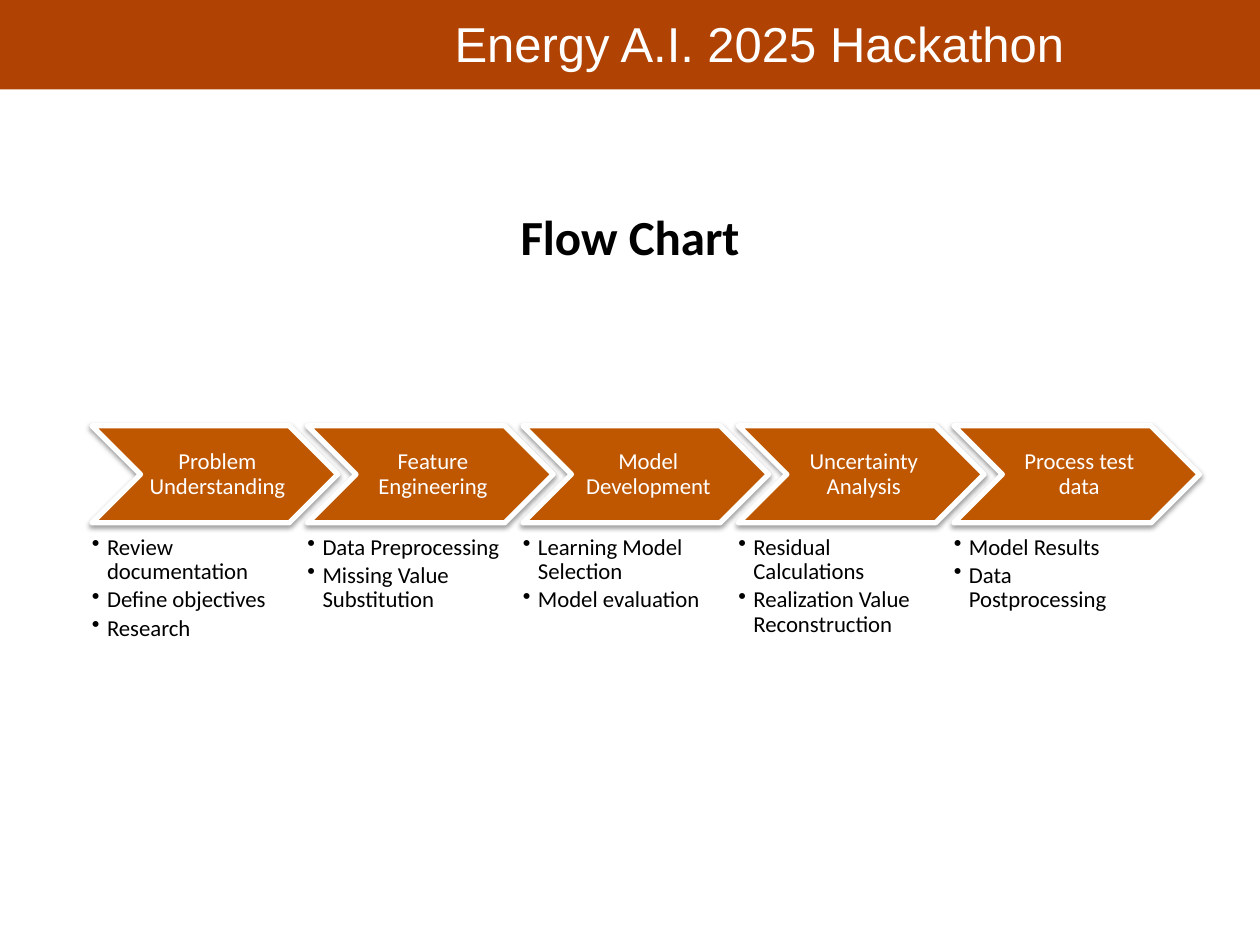
from lxml import etree
from pptx import Presentation
from pptx.dml.color import RGBColor
from pptx.enum.shapes import MSO_SHAPE
from pptx.enum.text import MSO_ANCHOR, PP_ALIGN
from pptx.oxml.ns import qn
from pptx.util import Inches, Pt

RECT, CHEVRON = MSO_SHAPE.RECTANGLE, MSO_SHAPE.CHEVRON
TOP, MIDDLE = MSO_ANCHOR.TOP, MSO_ANCHOR.MIDDLE
LEFT, CENTER = PP_ALIGN.LEFT, PP_ALIGN.CENTER

BANNER, ORANGE, WHITE, BLACK = "B04304", "BF5700", "FFFFFF", "000000"
STEP_PITCH = 1.71
STEPS = [
    ("Problem Understanding", ["Review documentation", "Define objectives", "Research"]),
    ("Feature Engineering", ["Data Preprocessing", "Missing Value Substitution"]),
    ("Model Development", ["Learning Model Selection", "Model evaluation"]),
    ("Uncertainty Analysis", ["Residual Calculations", "Realization Value Reconstruction"]),
    ("Process test data", ["Model Results", "Data Postprocessing"]),
]
HEADER_FONT = {"name": "Arial", "size": Pt(28)}
TITLE_FONT = {"name": "Calibri", "size": Pt(28), "bold": True}
STEP_FONT = {"name": "Calibri", "size": Pt(13)}
STEP_SPACING = {"line_spacing": 0.9, "space_after": Pt(2)}


def rgb(color):
    return RGBColor.from_string(color)


def set_attrs(target, values):
    for name, value in values.items():
        setattr(target, name, value)


def set_frame(tf, anchor=TOP, wrap=True, insets=(0.1, 0.05, 0.1, 0.05)):
    """Set up a text frame; insets are left, top, right, bottom in inches."""
    sides = ("margin_left", "margin_top", "margin_right", "margin_bottom")
    set_attrs(tf, dict(zip(sides, map(Inches, insets))))
    set_attrs(tf, {"word_wrap": wrap, "vertical_anchor": anchor})


def write(p, text, font, color, align=LEFT):
    p.alignment = align
    r = p.add_run()
    r.text = text
    set_attrs(r.font, font)
    r.font.color.rgb = rgb(color)


def add_block(s, preset, box, fill):
    sp = s.shapes.add_shape(preset, *map(Inches, box))
    sp.shadow.inherit = False
    sp.fill.solid()
    sp.fill.fore_color.rgb = rgb(fill)
    sp.line.fill.background()
    return sp


def add_text(s, box, text, font, color, align=LEFT, wrap=True):
    tf = s.shapes.add_textbox(*map(Inches, box)).text_frame
    set_frame(tf, wrap=wrap)
    write(tf.paragraphs[0], text, font, color, align)


def add_soft_shadow(sp):
    effects = sp._element.spPr.find(qn("a:effectLst"))
    shadow = etree.SubElement(effects, qn("a:outerShdw"), blurRad=str(Pt(3.1)),
                              dist=str(Pt(1.6)), dir="5400000", rotWithShape="0")
    color = etree.SubElement(shadow, qn("a:srgbClr"), val=BLACK)
    etree.SubElement(color, qn("a:alpha"), val="38000")


def add_bullet(p):
    pPr = p._p.get_or_add_pPr()
    pPr.set("marL", str(Inches(0.12)))
    pPr.set("indent", str(-Inches(0.12)))
    etree.SubElement(pPr, qn("a:buChar"), char="•")


def add_header(s, left, top, width, height):
    add_block(s, RECT, (left, top, width, height), BANNER)
    add_text(s, (left + 3.51, top + 0.07, 5.1, 0.57), "Energy A.I. 2025 Hackathon",
             HEADER_FONT, WHITE, wrap=False)


def add_chevron(s, box, label):
    sp = add_block(s, CHEVRON, box, ORANGE)
    sp.line.color.rgb = rgb(WHITE)
    sp.line.width = Pt(3)
    add_soft_shadow(sp)
    set_frame(sp.text_frame, MIDDLE, insets=(0.06, 0.02, 0.02, 0.02))
    p = sp.text_frame.paragraphs[0]
    set_attrs(p, STEP_SPACING)
    write(p, label, STEP_FONT, WHITE, CENTER)


def add_bullets(s, box, items):
    tf = s.shapes.add_textbox(*map(Inches, box)).text_frame
    set_frame(tf, insets=(0, 0, 0, 0))
    for i, item in enumerate(items):
        p = tf.add_paragraph() if i else tf.paragraphs[0]
        add_bullet(p)
        set_attrs(p, STEP_SPACING)
        write(p, item, STEP_FONT, BLACK)


def add_flow(s, left, top):
    for i, (label, items) in enumerate(STEPS):
        x = left + i * STEP_PITCH
        add_chevron(s, (x, top, 1.95, 0.77), label)
        add_bullets(s, (x, top + 0.87, 1.56, 0.86), items)


def main():
    prs = Presentation()
    prs.slide_width, prs.slide_height = Inches(10), Inches(7.5)
    s = prs.slides.add_slide(prs.slide_layouts[6])
    add_header(s, 0, -0.01, 10, 0.72)
    add_text(s, (0.6, 1.59, 8.8, 1.55), "Flow Chart", TITLE_FONT, BLACK, CENTER)
    add_flow(s, 0.73, 3.38)
    prs.save("out.pptx")


if __name__ == "__main__":
    main()
